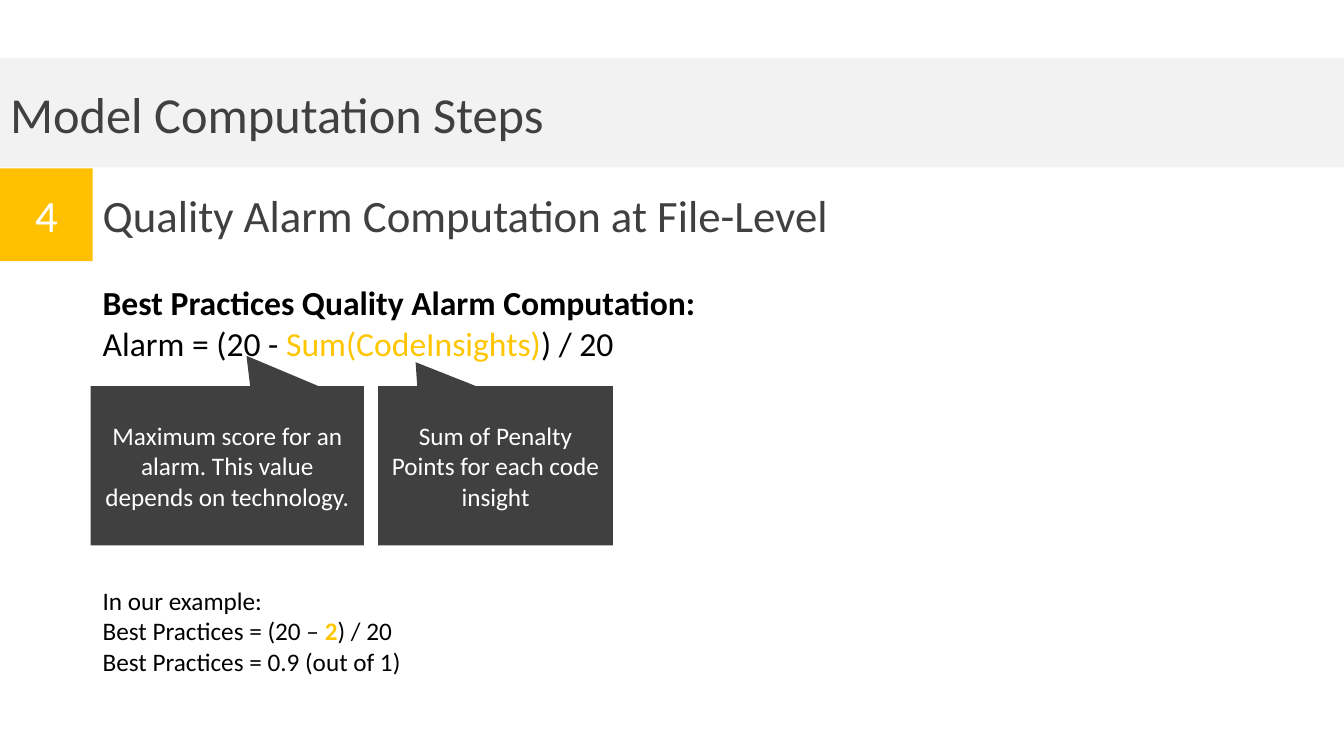
from dataclasses import dataclass

from pptx import Presentation
from pptx.dml.color import RGBColor
from pptx.enum.shapes import MSO_SHAPE
from pptx.enum.text import MSO_ANCHOR, MSO_AUTO_SIZE, PP_ALIGN
from pptx.util import Inches, Pt

FONT = "Calibri"
AMBER, GOLD, CHARCOAL = "FFC000", "FFC600", "404040"
LIGHT, WHITE, BLACK = "F2F2F2", "FFFFFF", "000000"


@dataclass
class Box:
    left: float
    top: float
    width: float
    height: float

    def lengths(self) -> list:
        return [Inches(v) for v in (self.left, self.top, self.width, self.height)]


@dataclass
class Span:
    text: str
    color: str = BLACK
    bold: bool = False


@dataclass
class Callout:
    box: Box
    text: str
    tip: tuple[float, float]


def rgb(value: str) -> RGBColor:
    return RGBColor.from_string(value)


def fill_shape(sp, color: str) -> None:
    sp.fill.solid()
    sp.fill.fore_color.rgb = rgb(color)
    sp.line.fill.background()


def write(sp, lines: list[list[Span]], size: float,
          align=PP_ALIGN.LEFT, anchor=MSO_ANCHOR.MIDDLE) -> None:
    tf = sp.text_frame
    tf.word_wrap = True
    tf.auto_size = MSO_AUTO_SIZE.NONE
    tf.vertical_anchor = anchor
    for i, spans in enumerate(lines):
        p = tf.paragraphs[0] if i == 0 else tf.add_paragraph()
        p.alignment = align
        for span in spans:
            r = p.add_run()
            r.text = span.text
            r.font.name = FONT
            r.font.size = Pt(size)
            r.font.bold = span.bold
            r.font.color.rgb = rgb(span.color)


def add_block(s, kind, box: Box, color: str, text: str, size: float):
    sp = s.shapes.add_shape(kind, *box.lengths())
    sp.shadow.inherit = False
    fill_shape(sp, color)
    write(sp, [[Span(text, WHITE)]], size, PP_ALIGN.CENTER)
    return sp


def add_text(s, box: Box, lines: list[list[Span]], size: float,
             anchor=MSO_ANCHOR.TOP) -> None:
    write(s.shapes.add_textbox(*box.lengths()), lines, size, anchor=anchor)


FORMULA = [
    [Span("Best Practices Quality Alarm Computation:", bold=True)],
    [Span("Alarm = (20 - "), Span("Sum(CodeInsights)", GOLD), Span(") / 20")],
]
EXAMPLE = [
    [Span("In our example:")],
    [Span("Best Practices = (20 – "), Span("2", GOLD, True), Span(") / 20")],
    [Span("Best Practices = 0.9 (out of 1)")],
]
CALLOUTS = [
    Callout(Box(3.75, 3.83, 2.33, 1.58),
            "Sum of Penalty Points for each code insight", (-0.34, -0.65)),
    Callout(Box(0.9, 3.83, 2.71, 1.58),
            "Maximum score for an alarm. This value depends on technology.",
            (0.07, -0.69)),
]


def main() -> None:
    prs = Presentation()
    prs.slide_width, prs.slide_height = Inches(13.33), Inches(7.5)
    s = prs.slides.add_slide(prs.slide_layouts[5])

    # Title band
    title = s.shapes.title
    title.left, title.top, title.width, title.height = Box(0, 0.58, 13.33, 1.08).lengths()
    fill_shape(title, LIGHT)
    write(title, [[Span("Model Computation Steps", CHARCOAL)]], 36)

    # Step number and heading
    add_block(s, MSO_SHAPE.RECTANGLE, Box(0, 1.67, 0.92, 0.92), AMBER, "4", 32)
    add_text(s, Box(0.92, 1.67, 9.08, 0.92),
             [[Span("Quality Alarm Computation at File-Level", CHARCOAL)]],
             32, MSO_ANCHOR.MIDDLE)

    # Formula and worked example
    add_text(s, Box(0.92, 2.75, 8.66, 0.92), FORMULA, 24)
    add_text(s, Box(0.92, 5.76, 8.66, 1.03), EXAMPLE, 18)

    # Callouts pointing at the formula terms
    for callout in CALLOUTS:
        sp = add_block(s, MSO_SHAPE.RECTANGULAR_CALLOUT, callout.box,
                       CHARCOAL, callout.text, 18)
        sp.adjustments[0], sp.adjustments[1] = callout.tip

    prs.save("out.pptx")


if __name__ == "__main__":
    main()
